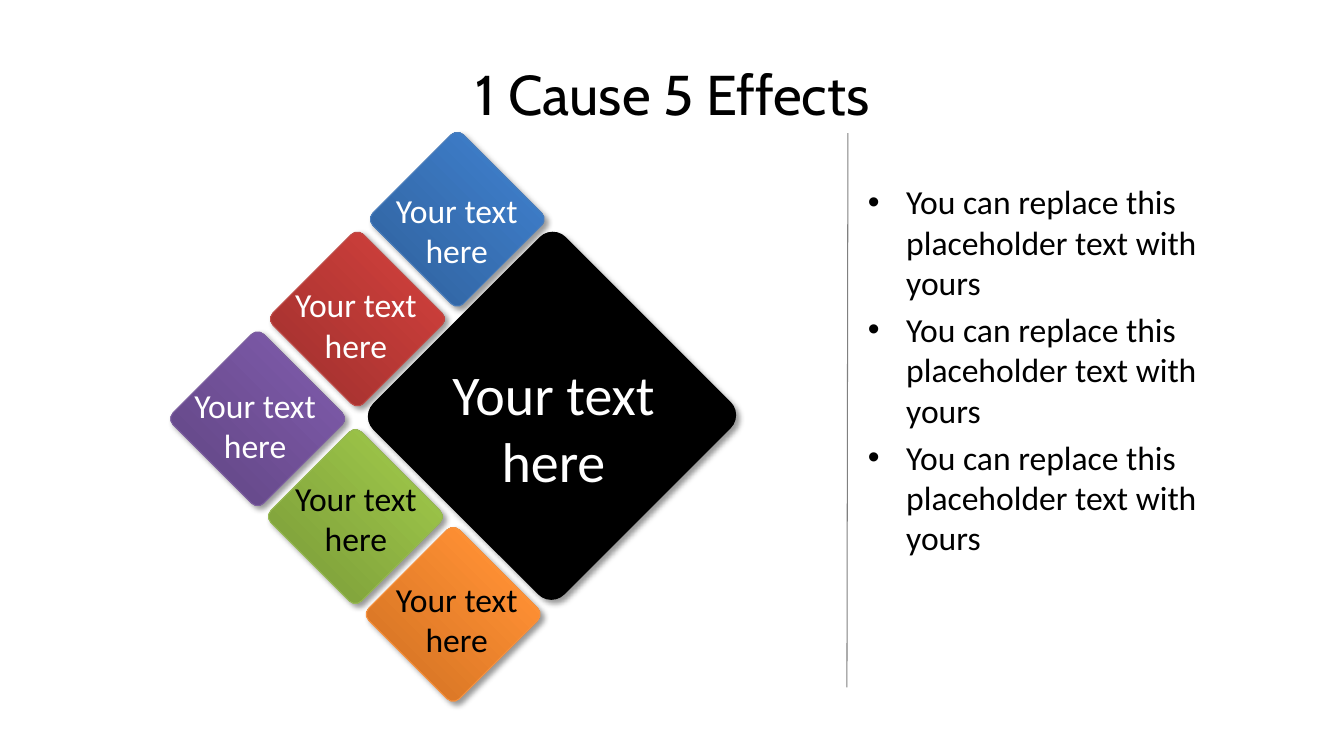
"""Build the slide showing one cause and its five effects as a fan of diamonds."""
from lxml import etree
from pptx import Presentation
from pptx.dml.color import RGBColor
from pptx.enum.shapes import MSO_CONNECTOR, MSO_SHAPE
from pptx.enum.text import MSO_ANCHOR, MSO_AUTO_SIZE, PP_ALIGN
from pptx.oxml import parse_xml
from pptx.oxml.ns import nsdecls, qn
from pptx.util import Inches, Pt

ROUNDED, STRAIGHT = MSO_SHAPE.ROUNDED_RECTANGLE, MSO_CONNECTOR.STRAIGHT
CENTER, MIDDLE = PP_ALIGN.CENTER, MSO_ANCHOR.MIDDLE
GROW = MSO_AUTO_SIZE.SHAPE_TO_FIT_TEXT

COLORS = {"black": "000000", "white": "FFFFFF", "divider": "808080"}
TITLE = "1 Cause 5 Effects"
CAUSE = "Your text here"
BULLETS = ["You can replace this placeholder text with yours"] * 3

# (text, text colour, steps from the corner tile, label top, gradient, outline)
EFFECTS = [
    ("Your text here", "white", -2, 1.83, ("2F5F99", "3D7CC7", "3A7CCB"), "4B7EBC"),
    ("Your text here", "white", -1, 2.77, ("9C2F2D", "CB3E3A", "CE3B37"), "BF4C48"),
    ("Your text here", "white", 0, 3.77, ("5F4480", "7B58A6", "7C57A8"), "7D60A0"),
    ("Your text here", "black", 1, 4.69, ("779737", "9BC348", "9DC746"), "98B955"),
    ("Your text here", "black", 2, 5.69, ("CC6E20", "FF9034", "FF9136"), "F69240"),
]
STOPS = (0, 80, 100)
TILE = 1.27
CORNER_LEFT, CORNER_TOP = 1.92, 3.52
STEP_UP, STEP_DOWN = 0.99, 0.97
LABEL_LEFT, LABEL_WIDTH, LABEL_HEIGHT = 1.74, 1.58, 0.91
BULLET_INDENT = Inches(0.38)


def color(value):
    return RGBColor.from_string(value)


def add_diamond(page, place, fill, outline):
    diamond = page.shapes.add_shape(ROUNDED, *map(Inches, place))
    diamond.rotation = 45
    diamond.adjustments[0] = 0.067
    if isinstance(fill, str):
        diamond.fill.solid()
        diamond.fill.fore_color.rgb = color(fill)
    else:
        diamond.fill.gradient()
        diamond.fill.gradient_angle = 90
        stops = diamond._element.spPr.find(qn("a:gradFill")).find(qn("a:gsLst"))
        for stop in list(stops):
            stops.remove(stop)
        for position, value in zip(STOPS, fill):
            stop = etree.SubElement(stops, qn("a:gs"), pos=str(position * 1000))
            etree.SubElement(stop, qn("a:srgbClr"), val=value)
    diamond.line.color.rgb = color(outline)
    diamond.line.width = Pt(0.75)
    diamond.shadow.inherit = False
    effects = diamond._element.spPr.find(qn("a:effectLst"))
    effects.append(parse_xml(
        f'<a:outerShdw {nsdecls("a")} blurRad="{Pt(4)}" dist="{Pt(3)}" dir="2700000" '
        'algn="tl" rotWithShape="0"><a:srgbClr val="000000">'
        '<a:alpha val="40000"/></a:srgbClr></a:outerShdw>'))


def add_text(page, place, lines, size, ink, font="Calibri", align=CENTER, bullet=False):
    box = page.shapes.add_textbox(*map(Inches, place))
    frame = box.text_frame
    frame.word_wrap = True
    for index, line in enumerate(lines):
        para = frame.add_paragraph() if index else frame.paragraphs[0]
        para.text = line
        para.alignment = align
        if bullet:
            if index:
                para.space_before = Pt(size * 0.2)
            properties = para._p.get_or_add_pPr()
            properties.set("marL", str(BULLET_INDENT))
            properties.set("indent", str(-BULLET_INDENT))
            etree.SubElement(properties, qn("a:buFont"), typeface="Arial")
            etree.SubElement(properties, qn("a:buChar"), char="•")
        para.font.name = font
        para.font.size = Pt(size)
        para.font.color.rgb = color(COLORS[ink])
    return frame


def main():
    deck = Presentation()
    deck.slide_width, deck.slide_height = Inches(13.33), Inches(7.5)
    page = deck.slides.add_slide(deck.slide_layouts[6])

    for text, ink, step, label_top, gradient, outline in EFFECTS:
        pitch = STEP_UP if step < 0 else STEP_DOWN
        left = CORNER_LEFT + abs(step) * pitch
        top = CORNER_TOP + step * pitch
        add_diamond(page, (left, top, TILE, TILE), gradient, outline)
        label = (LABEL_LEFT + abs(step), label_top, LABEL_WIDTH, LABEL_HEIGHT)
        add_text(page, label, [text], 24, ink).auto_size = GROW

    add_diamond(page, (4.14, 2.78, 2.67, 2.69), COLORS["black"], COLORS["black"])
    add_text(page, (4.24, 3.52, 2.5, 1.45), [CAUSE], 40, "white").auto_size = GROW

    divider = page.shapes.add_connector(STRAIGHT, *map(Inches, (8.41, 1.32, 8.4, 6.82)))
    divider.line.color.rgb = color(COLORS["divider"])
    divider.line.width = Pt(0.75)
    etree.SubElement(divider._element.spPr, qn("a:effectLst"))

    title = add_text(page, (0.67, 0.3, 12, 1.25), [TITLE], 40, "black", "Cabin")
    title.vertical_anchor = MIDDLE
    add_text(page, (8.51, 1.75, 4.16, 4.95), BULLETS, 24, "black",
             align=PP_ALIGN.LEFT, bullet=True)
    deck.save("out.pptx")


if __name__ == "__main__":
    main()
